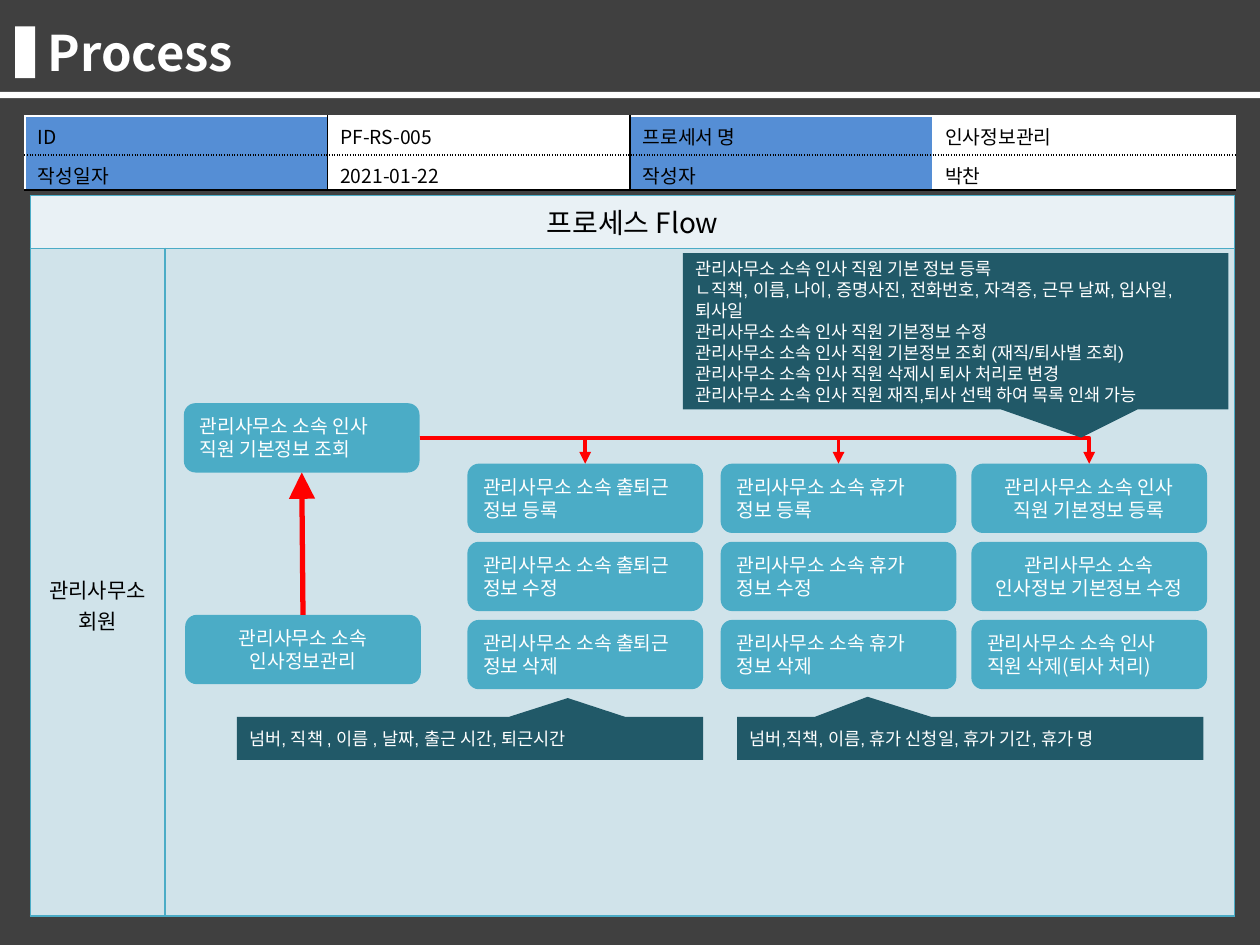
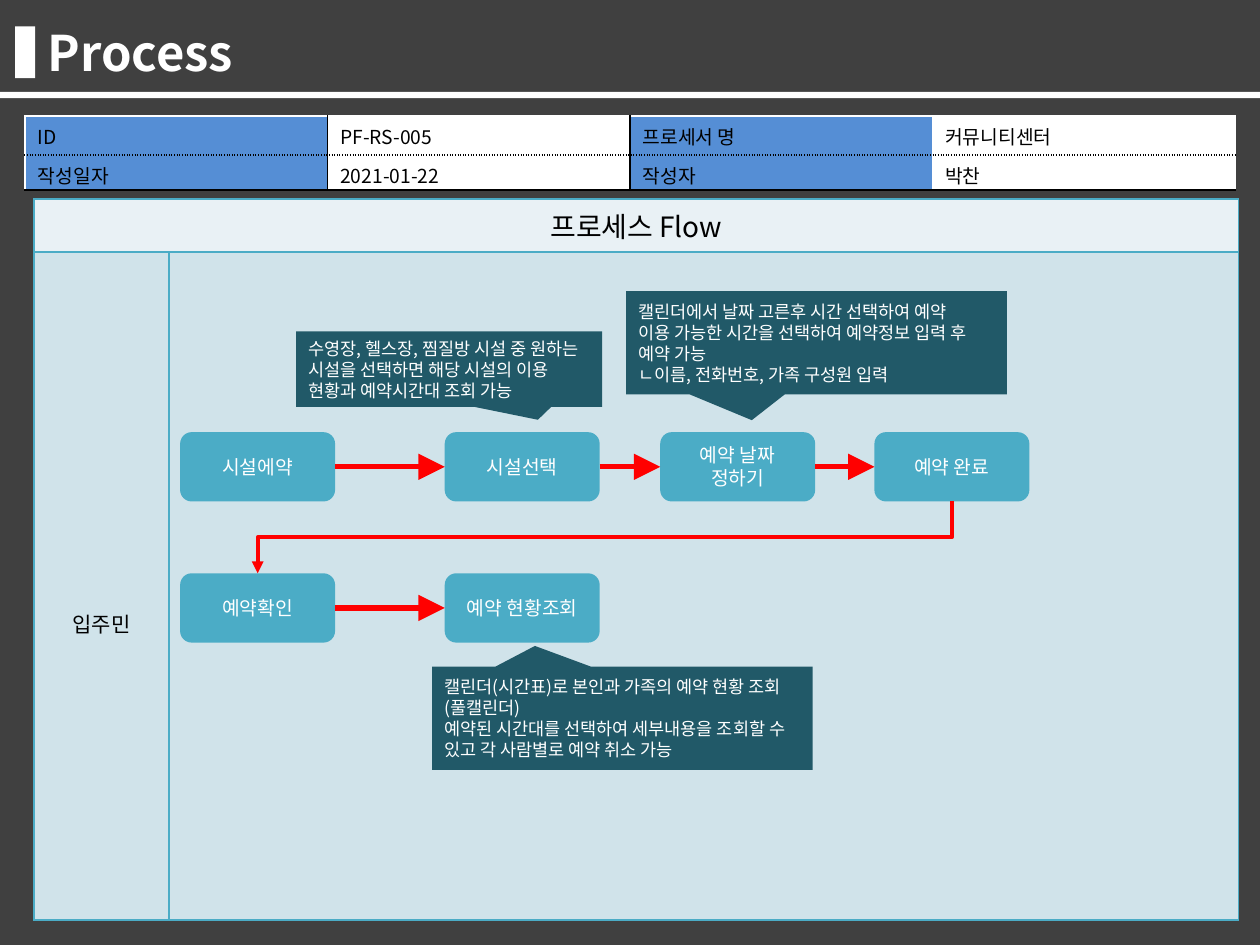
from lxml import etree
from pptx import Presentation
from pptx.dml.color import RGBColor
from pptx.enum.shapes import MSO_CONNECTOR, MSO_SHAPE
from pptx.enum.text import MSO_ANCHOR, MSO_AUTO_SIZE, PP_ALIGN
from pptx.oxml.ns import qn
from pptx.util import Inches, Pt

STRAIGHT, ELBOW = MSO_CONNECTOR.STRAIGHT, MSO_CONNECTOR.ELBOW
RECTANGLE, ROUNDED = MSO_SHAPE.RECTANGLE, MSO_SHAPE.ROUNDED_RECTANGLE
CALLOUT = MSO_SHAPE.RECTANGULAR_CALLOUT
LEFT, CENTER = PP_ALIGN.LEFT, PP_ALIGN.CENTER
MIDDLE = MSO_ANCHOR.MIDDLE
NO_AUTOFIT = MSO_AUTO_SIZE.NONE
TOP_SIDE, LEFT_SIDE, BOTTOM_SIDE, RIGHT_SIDE = range(4)

FONT, CALLOUT_FONT = "Noto Sans CJK KR", "Arial"
DARK, WHITE, BLACK, RED = "404040", "FFFFFF", "000000", "FF0000"
TEAL, DEEP_TEAL, PALE, PALER = "4BACC6", "215968", "D0E3EA", "E9F1F5"
LABEL_BLUE = "558ED5"
BOX_HEIGHT = 0.55


def color(hex_text):
    return RGBColor.from_string(hex_text)


class ProcessDeck:
    """Holds the deck, its shared style and the page being drawn."""

    def __init__(self):
        self.deck = Presentation()
        self.deck.slide_width = Inches(10)
        self.deck.slide_height = Inches(7.5)
        background = self.deck.slide_master.background.fill
        background.solid()
        background.fore_color.rgb = color(DARK)
        self.page = None

    def add_text(self, frame, lines, size, ink, align=LEFT, font=FONT, bold=False, spacing=None):
        for index, line in enumerate(lines):
            para = frame.paragraphs[0] if index == 0 else frame.add_paragraph()
            para.alignment = align
            para.space_before = Pt(0)
            if spacing:
                para.line_spacing = Pt(spacing)
            span = para.add_run()
            span.text = line
            span.font.size = Pt(size)
            span.font.bold = bold
            span.font.color.rgb = color(ink)
            span.font.name = font
            east_asian = etree.SubElement(span.font._element, qn("a:ea"))
            east_asian.set("typeface", FONT)

    def shape(self, kind, left, top, width, height, fill):
        shape = self.page.shapes.add_shape(
            kind, Inches(left), Inches(top), Inches(width), Inches(height))
        shape.shadow.inherit = False
        shape.fill.solid()
        shape.fill.fore_color.rgb = color(fill)
        shape.line.fill.background()
        return shape

    def start_page(self, title):
        self.page = self.deck.slides.add_slide(self.deck.slide_layouts[5])
        box = self.page.shapes.title
        box.left, box.top = Inches(0.28), Inches(0.13)
        box.width, box.height = Inches(8.98), Inches(0.57)
        frame = box.text_frame
        frame.auto_size = NO_AUTOFIT
        frame.vertical_anchor = MIDDLE
        self.add_text(frame, [title], 28, WHITE, bold=True)
        self.shape(RECTANGLE, 0.12, 0.21, 0.16, 0.41, WHITE)
        self.shape(RECTANGLE, 0, 0.73, 10, 0.05, WHITE)

    def table(self, left, top, widths, heights):
        frame = self.page.shapes.add_table(
            len(heights), len(widths), Inches(left), Inches(top),
            Inches(sum(widths)), Inches(sum(heights)))
        table = frame.table
        table.first_row = table.horz_banding = False
        for column, width in zip(table.columns, widths):
            column.width = Inches(width)
        for row, height in zip(table.rows, heights):
            row.height = Inches(height)
        return table

    def paint_cell(self, cell, fill, borders):
        """Fill a cell and draw its left, right, top and bottom (colour, dash) borders."""
        cell.fill.solid()
        cell.fill.fore_color.rgb = color(fill)
        properties = cell._tc.get_or_add_tcPr()
        for index, (side, (ink, dash)) in enumerate(zip("LRTB", borders)):
            line = etree.Element(qn("a:ln" + side), w=str(int(Pt(1))))
            solid = etree.SubElement(line, qn("a:solidFill"))
            etree.SubElement(solid, qn("a:srgbClr"), val=ink)
            etree.SubElement(line, qn("a:prstDash"), val=dash)
            properties.insert(index, line)

    def info_table(self, process_name):
        rows = [["ID", "PF-RS-005", "프로세서 명", process_name],
                ["작성일자", "2021-01-22", "작성자", "박찬"]]
        table = self.table(0.2, 0.92, [2.4] * 4, [0.31, 0.28])
        upright = [(ink, "solid") for ink in (WHITE, BLACK, BLACK, WHITE, WHITE)]
        level = [(WHITE, "solid"), (BLACK, "sysDot"), (BLACK, "solid")]
        for r, row in enumerate(rows):
            for c, text in enumerate(row):
                cell = table.cell(r, c)
                cell.margin_bottom = 0
                self.add_text(cell.text_frame, [text], 11, BLACK)
                self.paint_cell(cell, WHITE if c % 2 else LABEL_BLUE,
                                upright[c:c + 2] + level[r:r + 2])

    def flow_table(self, left, top, actor, actor_margin):
        table = self.table(left, top, [1.07, 8.49], [0.42, 5.3])
        for r, fill in enumerate((PALER, PALE)):
            for c in range(2):
                self.paint_cell(table.cell(r, c), fill, [(TEAL, "solid")] * 4)
        heading, actor_cell = table.cell(0, 0), table.cell(1, 0)
        heading.merge(table.cell(0, 1))
        self.add_text(heading.text_frame, ["프로세스 Flow"], 16, BLACK, CENTER)
        actor_cell.vertical_anchor = MIDDLE
        actor_cell.margin_top = Inches(actor_margin)
        self.add_text(actor_cell.text_frame, [actor], 12, BLACK, CENTER)

    def step(self, left, top, width, text, align=CENTER):
        box = self.shape(ROUNDED, left, top, width, BOX_HEIGHT, TEAL)
        frame = box.text_frame
        frame.word_wrap = True
        frame.vertical_anchor = MIDDLE
        self.add_text(frame, [text], 11, WHITE, align, spacing=13.1)
        return box

    def callout(self, left, top, width, height, tip, lines, font=FONT):
        box = self.shape(CALLOUT, left, top, width, height, DEEP_TEAL)
        box.adjustments[0], box.adjustments[1] = tip
        frame = box.text_frame
        frame.word_wrap = True
        frame.vertical_anchor = MIDDLE
        self.add_text(frame, lines, 10, WHITE, font=font, spacing=12)

    def connect(self, kind, start, start_side, end, end_side, weight, head):
        line = self.page.shapes.add_connector(kind, 0, 0, 0, 0)
        line.begin_connect(start, start_side)
        line.end_connect(end, end_side)
        line.line.color.rgb = color(RED)
        line.line.width = Pt(weight)
        outline = line.line._get_or_add_ln()
        etree.SubElement(outline, qn("a:tailEnd"), type="triangle", w=head, len=head)
        etree.SubElement(line._element.spPr, qn("a:effectLst"))
        return line

    def arrow(self, start, start_side, end, end_side):
        self.connect(STRAIGHT, start, start_side, end, end_side, 3, "lg")

    def corner_arrow(self, start, end):
        """Go right from one box, then down to the top of another."""
        line = self.connect(ELBOW, start, RIGHT_SIDE, end, TOP_SIDE, 2.25, "med")
        line._element.spPr.find(qn("a:prstGeom")).set("prst", "bentConnector2")

    def return_arrow(self, start, end):
        """Go down, back to the left, and down to the top of the next row's box."""
        line = self.connect(ELBOW, start, BOTTOM_SIDE, end, TOP_SIDE, 2.25, "med")
        across, down = line.width, line.height
        middle_x, middle_y = line.left + across // 2, line.top + down // 2
        line.left, line.top = middle_x - down // 2, middle_y - across // 2
        line.width, line.height = down, across
        frame = line._element.spPr.find(qn("a:xfrm"))
        frame.set("flipH", "0")
        frame.set("rot", str(90 * 60000))


def add_staff_page(deck):
    deck.start_page("Process")
    deck.flow_table(0.24, 1.55, "관리사무소 회원", 0.41)
    deck.info_table("인사정보관리")

    width = 1.87
    lookup = deck.step(1.46, 3.2, width, "관리사무소 소속 인사 직원 기본정보 조회", LEFT)
    manage = deck.step(1.47, 4.88, width, "관리사무소 소속 인사정보관리")
    deck.arrow(manage, TOP_SIDE, lookup, BOTTOM_SIDE)

    columns = [
        (3.71, [("관리사무소 소속 출퇴근 정보 등록", LEFT),
                ("관리사무소 소속 출퇴근 정보 수정", LEFT),
                ("관리사무소 소속 출퇴근 정보 삭제", LEFT)]),
        (5.72, [("관리사무소 소속 휴가 정보 등록", LEFT),
                ("관리사무소 소속 휴가 정보 수정", LEFT),
                ("관리사무소 소속 휴가 정보 삭제", LEFT)]),
        (7.71, [("관리사무소 소속 인사 직원 기본정보 등록", CENTER),
                ("관리사무소 소속 인사정보 기본정보 수정", CENTER),
                ("관리사무소 소속 인사 직원 삭제(퇴사 처리)", LEFT)]),
    ]
    for left, steps in columns:
        boxes = [deck.step(left, 3.68 + 0.62 * index, width, text, align)
                 for index, (text, align) in enumerate(steps)]
        deck.corner_arrow(lookup, boxes[0])

    deck.callout(5.42, 2.01, 4.33, 1.24, (0.23, 0.68), [
        "관리사무소 소속 인사 직원 기본 정보 등록",
        "ㄴ직책, 이름, 나이, 증명사진, 전화번호, 자격증, 근무 날짜, 입사일, 퇴사일",
        "관리사무소 소속 인사 직원 기본정보 수정",
        "관리사무소 소속 인사 직원 기본정보 조회 (재직/퇴사별 조회)",
        "관리사무소 소속 인사 직원 삭제시 퇴사 처리로 변경",
        "관리사무소 소속 인사 직원 재직,퇴사 선택 하여 목록 인쇄 가능",
    ], CALLOUT_FONT)
    deck.callout(1.88, 5.69, 3.7, 0.34, (0.21, -0.94),
                 ["넘버, 직책 , 이름 , 날짜, 출근 시간, 퇴근시간"], CALLOUT_FONT)
    deck.callout(5.85, 5.69, 3.7, 0.34, (-0.22, -0.97),
                 ["넘버,직책, 이름, 휴가 신청일, 휴가 기간, 휴가 명"], CALLOUT_FONT)


def add_booking_page(deck):
    deck.start_page("Process")
    deck.flow_table(0.27, 1.58, "입주민", 0.65)
    deck.info_table("커뮤니티센터")

    rows = [
        (3.43, [(1.43, "시설에약"), (3.53, "시설선택"),
                (5.24, "예약 날짜 정하기"), (6.94, "예약 완료")]),
        (4.55, [(1.43, "예약확인"), (3.53, "예약 현황조회")]),
    ]
    chains = [[deck.step(left, top, 1.23, text) for left, text in steps]
              for top, steps in rows]
    for chain in chains:
        for start, end in zip(chain, chain[1:]):
            deck.arrow(start, RIGHT_SIDE, end, LEFT_SIDE)
    deck.return_arrow(chains[0][-1], chains[1][0])

    deck.callout(2.35, 2.63, 2.43, 0.6, (0.29, 0.67), [
        "수영장, 헬스장, 찜질방 시설 중 원하는 시설을 선택하면 해당 시설의 "
        "이용 현황과 예약시간대 조회 가능",
    ])
    deck.callout(4.97, 2.31, 3.02, 0.82, (-0.17, 0.75), [
        "캘린더에서 날짜 고른후 시간 선택하여 예약",
        "이용 가능한 시간을 선택하여 예약정보 입력 후 예약 가능",
        "ㄴ이름, 전화번호, 가족 구성원 입력",
    ])
    deck.callout(3.43, 5.29, 3.02, 0.82, (-0.23, -0.7), [
        "캘린더(시간표)로 본인과 가족의 예약 현황 조회 (풀캘린더)",
        "예약된 시간대를 선택하여 세부내용을 조회할 수 있고 각 사람별로 예약 취소 가능",
    ])


def main():
    process_deck = ProcessDeck()
    add_staff_page(process_deck)
    add_booking_page(process_deck)
    process_deck.deck.save("out.pptx")


if __name__ == "__main__":
    main()
